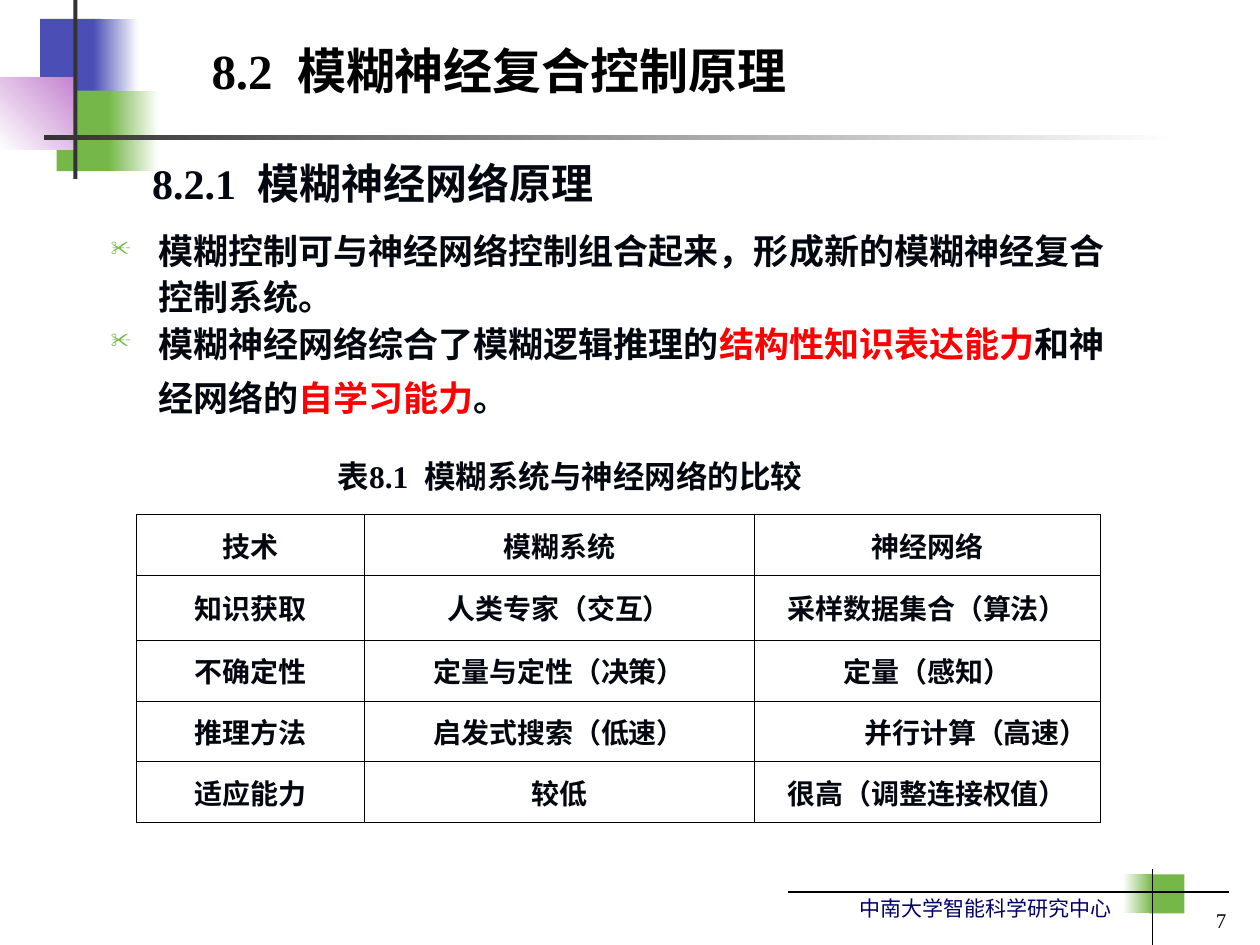
from dataclasses import dataclass, field

from lxml import etree
from pptx import Presentation
from pptx import util as u
from pptx.dml.color import RGBColor
from pptx.enum import shapes as sh, text as tx
from pptx.oxml import ns

HUES = {"ink": "03070F", "black": "000000", "white": "FFFFFF", "red": "FF0000",
        "navy": "000066", "blue": "4B4EB5", "green": "76B749",
        "pink": "C481CF", "dark": "333333"}
TIMES, NOTO = "Times New Roman", "Noto Sans CJK SC"
MID, LOW, TOP = tx.MSO_ANCHOR.MIDDLE, tx.MSO_ANCHOR.BOTTOM, tx.MSO_ANCHOR.TOP
LEFT, RIGHT, CENTER = tx.PP_ALIGN.LEFT, tx.PP_ALIGN.RIGHT, tx.PP_ALIGN.CENTER


@dataclass
class Block:
    """A filled box; a second hue makes a gradient."""
    box: tuple
    hue: str
    end: str = ""
    angle: float = 0


@dataclass
class Run:
    words: str
    hue: str = "ink"
    size: float = 20


@dataclass
class Label:
    """A text box; each item of paras is a list of runs."""
    box: tuple
    paras: list
    face: str = TIMES
    bold: bool = True
    anchor: tx.MSO_ANCHOR = TOP
    look: dict = field(default_factory=dict)
    bullet: str = ""


BLOCKS = [
    Block((23, 10.8, 34.6, 46), "blue"),
    Block((53.3, 10.8, 25.9, 46), "blue", "white"),
    Block((32.4, 51.8, 33.1, 46), "green"),
    Block((61.9, 51.8, 28.8, 46), "green", "white"),
    Block((0, 44.3, 43.9, 41.2), "white", "pink", 45),
    Block((41.9, 0, 2.4, 102.3), "dark"),
    Block((25.2, 77, 648, 2.9), "dark", "white"),
    Block((656.6, 499.7, 20.2, 22.3), "green"),
    Block((641.5, 499.7, 17.3, 22.3), "white", "green"),
]
LINES = [(450, 509.8, 702, 509.8), (658.8, 496.8, 658.8, 540)]

LABELS = [
    Label((326.2, 508.3, 316, 21.6),
          [[Run("中南大学智能科学研究中心", "navy", 12)]],
          bold=False, anchor=MID, look={"alignment": RIGHT}),
    Label((540, 511.2, 167.8, 28.8), [[Run("7", size=12)]],
          bold=False, anchor=MID, look={"alignment": RIGHT}),
    Label((113.8, 12.2, 383.8, 48.2),
          [[Run("8.2  模糊神经复合控制原理", "black", 28)]], anchor=LOW),
    Label((79.9, 83.5, 540, 38.9),
          [[Run("8.2.1  模糊神经网络原理", size=24)]],
          look={"line_spacing": 1.1}),
    Label((56.2, 125.3, 601.2, 126),
          [[Run("模糊控制可与神经网络控制组合起来，形成新的模糊神经复合控制系统。")],
           [Run("模糊神经网络综合了模糊逻辑推理的"),
            Run("结构性知识表达能力", "red"), Run("和神经网络的"),
            Run("自学习能力", "red"), Run("。"), Run(" ", size=24)]],
          face=NOTO, look={"line_spacing": 1.1}, bullet="✂"),
    Label((185.8, 257.8, 306, 28.8),
          [[Run("表8.1  模糊系统与神经网络的比较", size=18)]]),
]

ROWS = [("技术", "模糊系统", "神经网络"),
        ("知识获取", "人类专家（交互）", "采样数据集合（算法）"),
        ("不确定性", "定量与定性（决策）", "定量（感知）"),
        ("推理方法", "启发式搜索（低速）", "并行计算（高速）"),
        ("适应能力", "较低", "很高（调整连接权值）")]
WIDE = (130.3, 222.9, 197.8)
HIGH = (34.7, 37.2, 34.7, 34.7, 34.7)
ASIDE = "并行计算（高速）"  # the one cell set flush right


def tint(name: str) -> RGBColor:
    return RGBColor.from_string(HUES[name])


def pts(box: tuple) -> list:
    return [u.Pt(n) for n in box]


def apply(item, look: dict) -> None:
    for key, val in look.items():
        setattr(item, key, val)


def node(up, tag: str, **attrs):
    return etree.SubElement(up, ns.qn(tag), attrs)


def draw_block(slide, part: Block) -> None:
    form = slide.shapes.add_shape(sh.MSO_SHAPE.RECTANGLE, *pts(part.box))
    form.shadow.inherit = False
    form.line.fill.background()
    if not part.end:
        form.fill.solid()
        form.fill.fore_color.rgb = tint(part.hue)
        return
    form.fill.gradient()
    form.fill.gradient_angle = part.angle
    for stop, hue in zip(form.fill.gradient_stops, (part.hue, part.end)):
        stop.color.rgb = tint(hue)


def draw_line(slide, ends: tuple) -> None:
    line = slide.shapes.add_connector(sh.MSO_CONNECTOR.STRAIGHT, *pts(ends))
    line.line.color.rgb = tint("black")
    line.line.width = u.Pt(0.75)
    node(line._element.spPr, "a:effectLst")


def add_run(para, run: Run, face: str, bold: bool) -> None:
    piece = para.add_run()
    piece.text = run.words
    apply(piece.font, {"name": face, "size": u.Pt(run.size), "bold": bold})
    piece.font.color.rgb = tint(run.hue)
    node(piece.font._element, "a:ea", typeface=NOTO)


def add_mark(para, mark: str) -> None:
    props = para._p.get_or_add_pPr()
    props.set("marL", str(u.Pt(27)))
    props.set("indent", str(u.Pt(-27)))
    node(node(props, "a:buClr"), "a:srgbClr", val=HUES["green"])
    node(props, "a:buSzPct", val="60000")
    node(props, "a:buChar", char=mark)


def draw_label(slide, part: Label) -> None:
    frame = slide.shapes.add_textbox(*pts(part.box)).text_frame
    apply(frame, {"word_wrap": True, "vertical_anchor": part.anchor})
    for i, runs in enumerate(part.paras):
        para = frame.add_paragraph() if i else frame.paragraphs[0]
        if part.bullet:
            add_mark(para, part.bullet)
        apply(para, {"alignment": LEFT, **part.look})
        for run in runs:
            add_run(para, run, part.face, part.bold)


def frame_cell(cell) -> None:
    props = cell._tc.get_or_add_tcPr()
    for tag in ("a:lnL", "a:lnR", "a:lnT", "a:lnB"):
        edge = node(props, tag, w=str(u.Pt(0.45)))
        node(node(edge, "a:solidFill"), "a:srgbClr", val=HUES["black"])
    cell.fill.background()


def draw_table(slide) -> None:
    box = (77.9, 294, sum(WIDE), sum(HIGH))
    grid = slide.shapes.add_table(len(ROWS), len(WIDE), *pts(box)).table
    apply(grid, {"first_row": False, "horz_banding": False})
    for col, width in zip(grid.columns, WIDE):
        col.width = u.Pt(width)
    for row, height, words in zip(grid.rows, HIGH, ROWS):
        row.height = u.Pt(height)
        for cell, word in zip(row.cells, words):
            frame_cell(cell)
            cell.vertical_anchor = MID
            para = cell.text_frame.paragraphs[0]
            para.alignment = RIGHT if word == ASIDE else CENTER
            add_run(para, Run(word, size=16), NOTO, True)


def main() -> None:
    deck = Presentation()
    apply(deck, {"slide_width": u.Pt(720), "slide_height": u.Pt(540)})
    slide = deck.slides.add_slide(deck.slide_layouts[6])
    # Corner blocks and rules
    for part in BLOCKS:
        draw_block(slide, part)
    for ends in LINES:
        draw_line(slide, ends)
    # Headings, body text and footer
    for part in LABELS:
        draw_label(slide, part)
    # Comparison of both methods
    draw_table(slide)
    deck.save("out.pptx")


if __name__ == "__main__":
    main()
